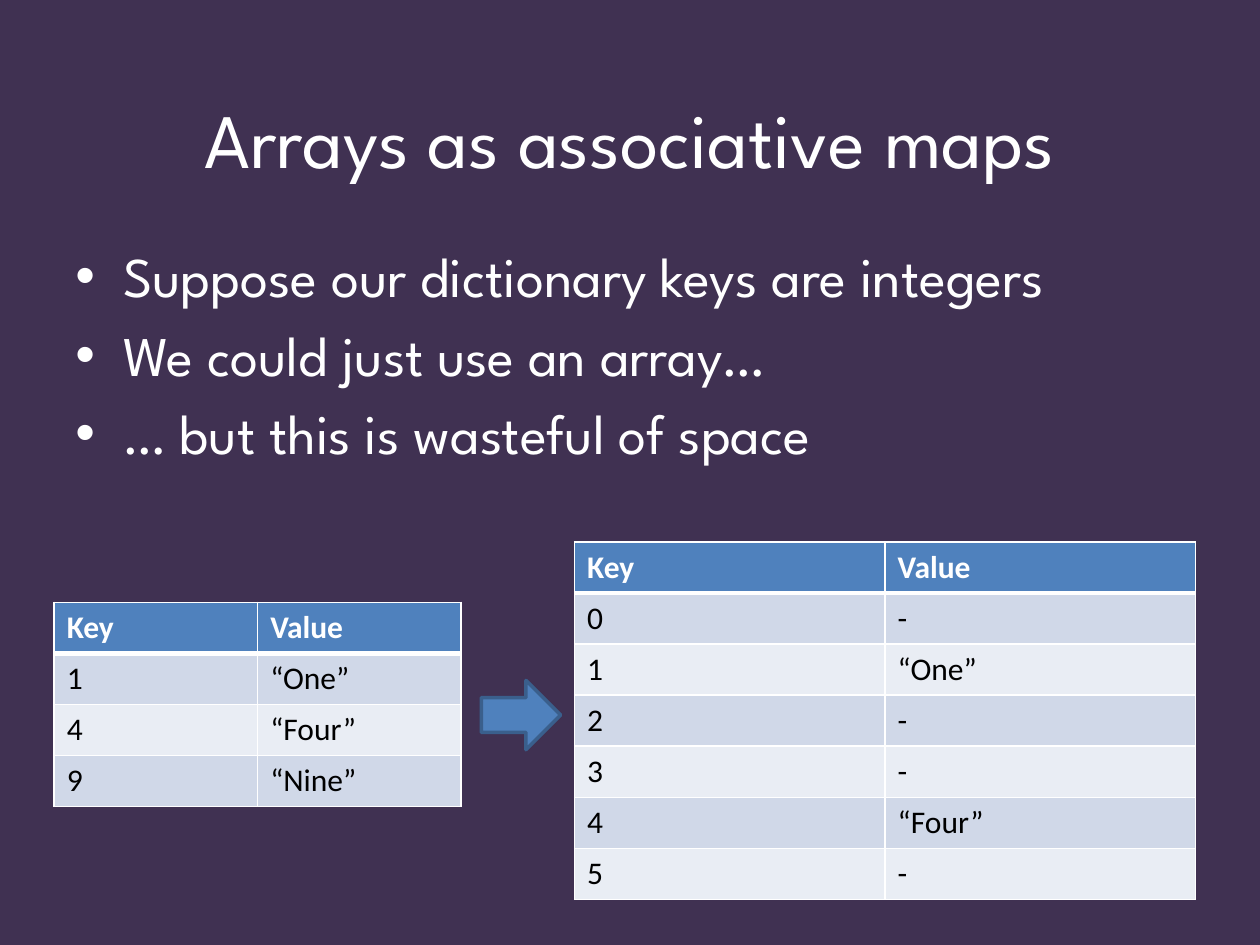
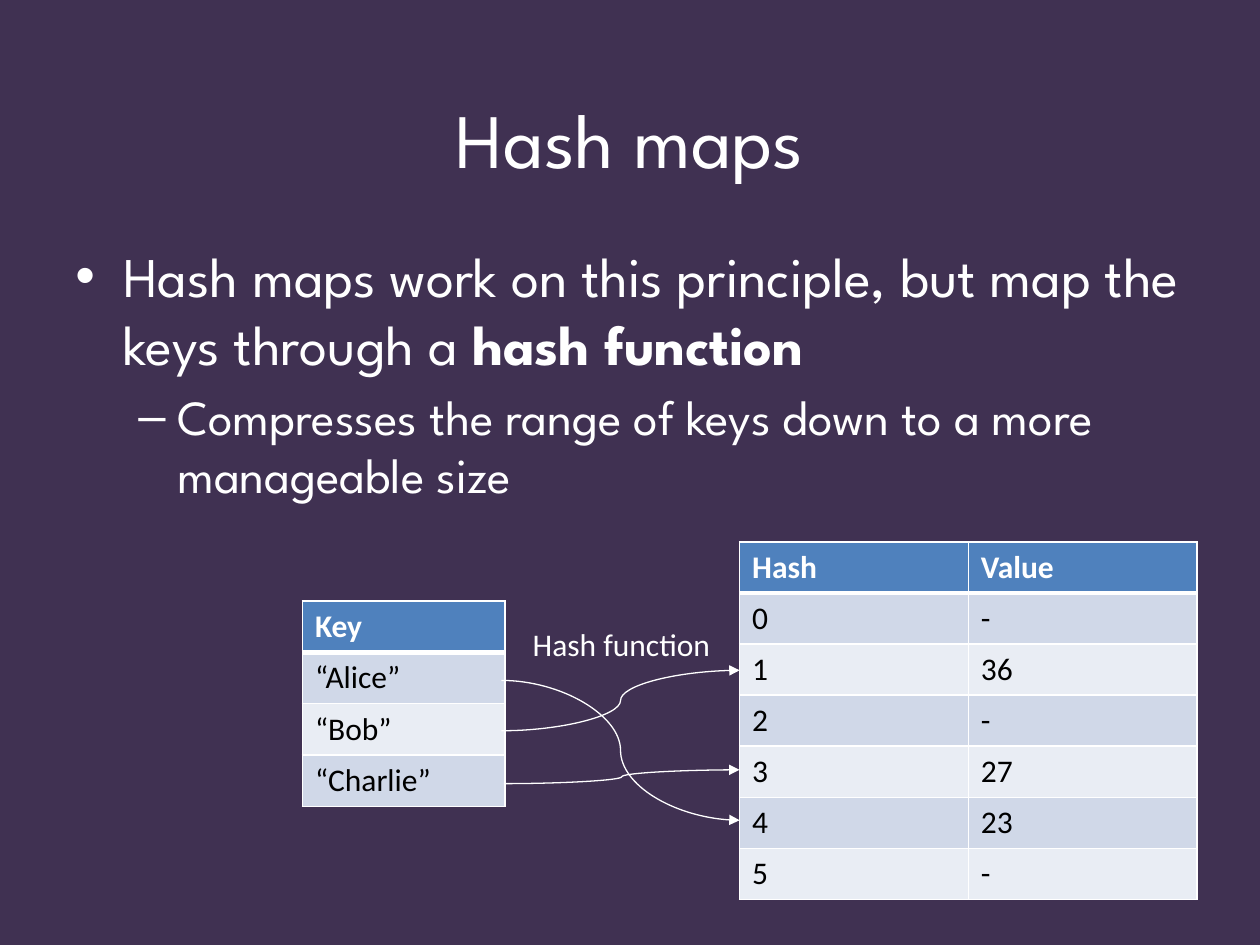
from lxml import etree
from pptx import Presentation
from pptx.dml.color import RGBColor
from pptx.enum.shapes import MSO_CONNECTOR, MSO_SHAPE
from pptx.enum.text import MSO_ANCHOR, PP_ALIGN
from pptx.oxml.ns import qn
from pptx.util import Inches, Pt

PLUM = RGBColor(0x40, 0x31, 0x52)
WHITE = RGBColor(0xFF, 0xFF, 0xFF)
BLACK = RGBColor(0x00, 0x00, 0x00)
BLUE = RGBColor(0x4F, 0x81, 0xBD)
DARK_BLUE = RGBColor(0x3A, 0x5F, 0x8C)
BANDS = (RGBColor(0xE9, 0xED, 0xF4), RGBColor(0xD0, 0xD8, 0xE8))

HEADING_FONT = "League Spartan"
TABLE_FONT = "Calibri"
CENTER = PP_ALIGN.CENTER
LEFT = PP_ALIGN.LEFT
TOP = MSO_ANCHOR.TOP
MIDDLE = MSO_ANCHOR.MIDDLE
RIGHT_ARROW = MSO_SHAPE.RIGHT_ARROW
CURVE = MSO_CONNECTOR.CURVE

TITLE_BOX = (0.5, 0.47, 9, 1.25)
LEVELS = (("•", 32, 0.38, -0.38), ("–", 28, 0.81, -0.31))


def write(paragraph, text, size=18, font=TABLE_FONT, color=WHITE, bold=False, align=LEFT):
    """Append formatted text to a paragraph."""
    paragraph.alignment = align
    run = paragraph.add_run()
    run.text = text
    run.font.size = Pt(size)
    run.font.name = font
    run.font.bold = bold
    run.font.color.rgb = color


def add_frame(slide, box, anchor=TOP, wrap=True):
    """Add a text box and return its text frame."""
    frame = slide.shapes.add_textbox(*map(Inches, box)).text_frame
    frame.word_wrap = wrap
    frame.vertical_anchor = anchor
    return frame


def add_slide(prs, title):
    """Add a plum slide with its centred title."""
    slide = prs.slides.add_slide(prs.slide_layouts[6])
    slide.background.fill.solid()
    slide.background.fill.fore_color.rgb = PLUM
    heading = add_frame(slide, TITLE_BOX, MIDDLE).paragraphs[0]
    write(heading, title, size=44, font=HEADING_FONT, align=CENTER)
    return slide


def add_bullets(slide, box, points):
    """Add bullet points given as (level, [(text, bold), ...])."""
    frame = add_frame(slide, box)
    for index, (level, pieces) in enumerate(points):
        paragraph = frame.add_paragraph() if index else frame.paragraphs[0]
        mark, size, margin, indent = LEVELS[level]
        paragraph.level = level
        properties = paragraph._p.get_or_add_pPr()
        properties.set("marL", str(Inches(margin)))
        properties.set("indent", str(Inches(indent)))
        etree.SubElement(properties, qn("a:buFont"), typeface="Arial")
        etree.SubElement(properties, qn("a:buChar"), char=mark)
        if index:
            paragraph.space_before = Pt(0.2 * size)
        for text, bold in pieces:
            write(paragraph, text, size=size, font=HEADING_FONT, bold=bold)


def add_border(cell, side, width):
    """Draw one white edge of a cell."""
    edge = etree.SubElement(cell._tc.get_or_add_tcPr(), qn(f"a:ln{side}"), w=str(Pt(width)))
    fill = etree.SubElement(edge, qn("a:solidFill"))
    etree.SubElement(fill, qn("a:srgbClr"), val=str(WHITE))


def add_grid(slide, box, rows):
    """Add a banded table whose rows and columns share the box equally."""
    left, top, width, height = map(Inches, box)
    table = slide.shapes.add_table(len(rows), len(rows[0]), left, top, width, height).table
    for r, row in enumerate(rows):
        header = r == 0
        for c, text in enumerate(row):
            cell = table.cell(r, c)
            for side in "LRTB":
                under_header = (r, side) in ((0, "B"), (1, "T"))
                add_border(cell, side, 3 if under_header else 1)
            cell.fill.solid()
            cell.fill.fore_color.rgb = BLUE if header else BANDS[r % 2]
            write(cell.text_frame.paragraphs[0], text,
                  color=WHITE if header else BLACK, bold=header)


def add_block_arrow(slide, box):
    """Add the blue arrow between two tables."""
    arrow = slide.shapes.add_shape(RIGHT_ARROW, *map(Inches, box))
    arrow.shadow.inherit = False
    arrow.fill.solid()
    arrow.fill.fore_color.rgb = BLUE
    arrow.line.color.rgb = DARK_BLUE
    arrow.line.width = Pt(2)


def add_mapping(slide, start_x, start_y, end_x, end_y):
    """Add a curved arrow from a key to its hash."""
    curve = slide.shapes.add_connector(CURVE, *map(Inches, (start_x, start_y, end_x, end_y)))
    curve.line.color.rgb = WHITE
    curve.line.width = Pt(0.75)
    etree.SubElement(curve.line._get_or_add_ln(), qn("a:tailEnd"), type="triangle")
    etree.SubElement(curve._element.spPr, qn("a:effectLst"))


def build_arrays(prs):
    """Build the slide on arrays as maps."""
    slide = add_slide(prs, "Arrays as associative maps")
    points = ("Suppose our dictionary keys are integers",
              "We could just use an array…",
              "… but this is wasteful of space")
    add_bullets(slide, (0.5, 1.87, 9, 2.27), [(0, [(point, False)]) for point in points])
    entries = {1: "“One”", 4: "“Four”", 9: "“Nine”"}
    header = ("Key", "Value")
    array = [(str(key), entries.get(key, "-")) for key in range(6)]
    dictionary = [(str(key), value) for key, value in entries.items()]
    add_grid(slide, (4.56, 4.3, 4.93, 2.84), [header, *array])
    add_grid(slide, (0.43, 4.78, 3.23, 1.62), [header, *dictionary])
    add_block_arrow(slide, (3.82, 5.4, 0.63, 0.55))


def build_hash_maps(prs):
    """Build the slide on hash maps."""
    slide = add_slide(prs, "Hash maps")
    add_bullets(slide, (0.5, 1.87, 9, 2.43), [
        (0, [("Hash maps work on this principle, but map the keys through a ", False),
             ("hash function", True)]),
        (1, [("Compresses the range of keys down to a more manageable size", False)]),
    ])
    values = {1: "36", 3: "27", 4: "23"}
    buckets = [(str(code), values.get(code, "-")) for code in range(6)]
    add_grid(slide, (5.87, 4.3, 3.63, 2.84), [("Hash", "Value"), *buckets])
    add_grid(slide, (2.4, 4.77, 1.61, 1.63),
             [("Key",), ("“Alice”",), ("“Bob”",), ("“Charlie”",)])
    for start_x, key_y, hash_y in ((3.98, 5.4, 6.51), (3.98, 5.8, 5.32), (4, 6.22, 6.11)):
        add_mapping(slide, start_x, key_y, 5.87, hash_y)
    label = add_frame(slide, (4.13, 4.91, 1.63, 0.4), wrap=False)
    write(label.paragraphs[0], "Hash function")


def main():
    """Build and save the presentation."""
    prs = Presentation()
    prs.slide_width = Inches(10)
    prs.slide_height = Inches(7.5)
    build_arrays(prs)
    build_hash_maps(prs)
    prs.save("out.pptx")


if __name__ == "__main__":
    main()
